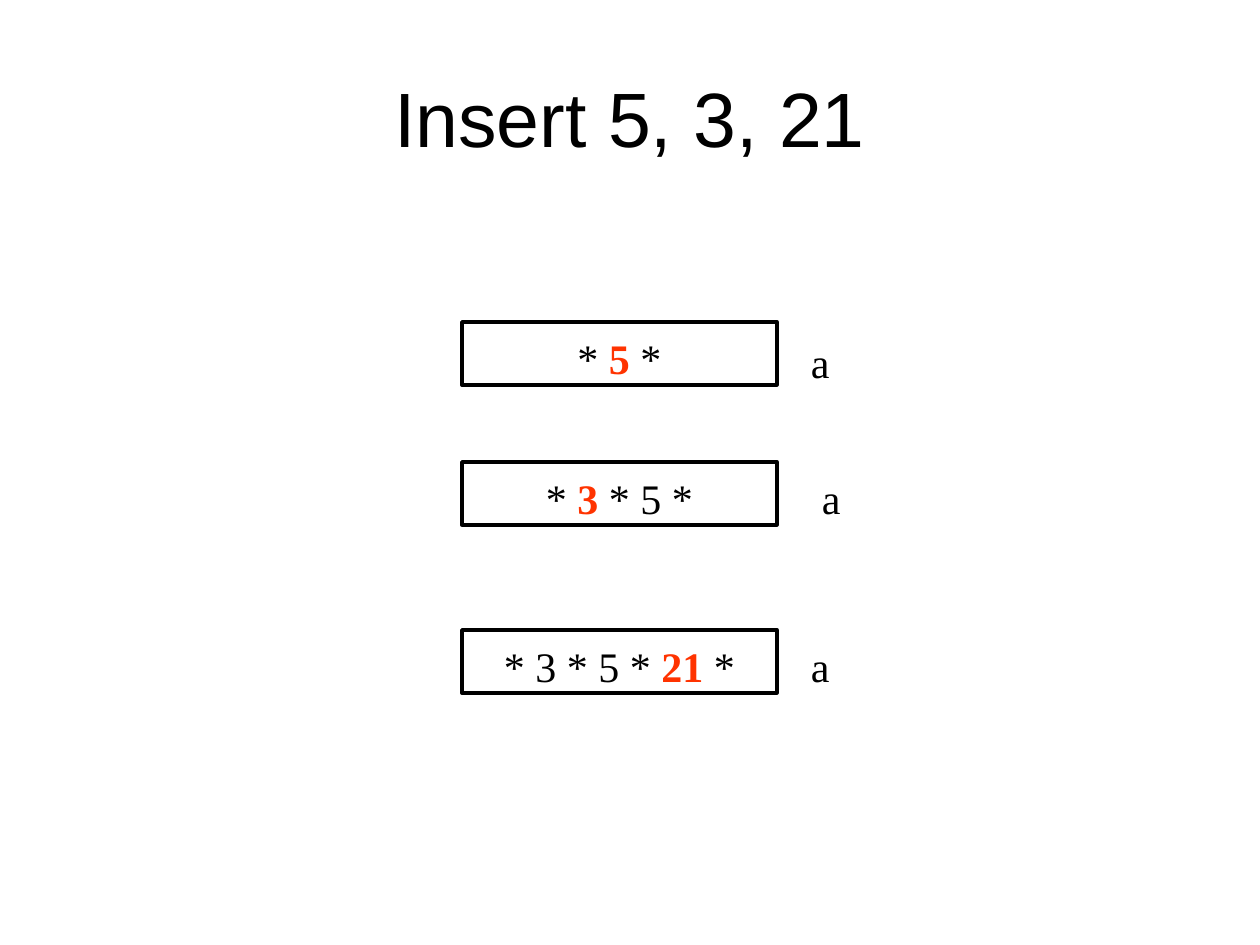
from pptx import Presentation
from pptx.dml.color import RGBColor
from pptx.enum.shapes import MSO_SHAPE
from pptx.enum.text import MSO_ANCHOR, PP_ALIGN
from pptx.util import Emu, Pt

RECTANGLE = MSO_SHAPE.RECTANGLE
TOP, MIDDLE = MSO_ANCHOR.TOP, MSO_ANCHOR.MIDDLE
LEFT, CENTER = PP_ALIGN.LEFT, PP_ALIGN.CENTER

COLORS = {"ink": "000000", "inserted": "FF3300"}
TITLE_FONT, BODY_FONT = "Arial", "Times New Roman"
NODE_LEFT, NODE_WIDTH, NODE_HEIGHT = 462, 315, 63

STEPS = [
    {"top": 322, "keys": ["5"], "inserted": "5", "label_at": (336, 3)},
    {"top": 462, "keys": ["3", "5"], "inserted": "3", "label_at": (347, 0)},
    {"top": 630, "keys": ["3", "5", "21"], "inserted": "21", "label_at": (336, 0)},
]


def px(length):
    return Emu(round(length * 914400 / 126))


def box(left, top, width, height):
    return px(left), px(top), px(width), px(height)


def color(name):
    return RGBColor.from_string(COLORS[name])


def format_paragraph(paragraph, font_name, size, alignment):
    paragraph.alignment = alignment
    paragraph.font.name = font_name
    paragraph.font.size = Pt(size)
    paragraph.font.color.rgb = color("ink")


def prepare_text(shape, alignment):
    frame = shape.text_frame
    frame.word_wrap = True
    frame.vertical_anchor = TOP
    frame.margin_left = frame.margin_right = px(13)
    frame.margin_top, frame.margin_bottom = px(11), px(2)
    paragraph = frame.paragraphs[0]
    format_paragraph(paragraph, BODY_FONT, 24, alignment)
    return paragraph


def add_title(slide, text, left, top, width, height):
    title = slide.shapes.title
    title.left, title.top, title.width, title.height = box(left, top, width, height)
    title.text_frame.text = text
    title.text_frame.vertical_anchor = MIDDLE
    format_paragraph(title.text_frame.paragraphs[0], TITLE_FONT, 44, CENTER)


def add_node(slide, keys, inserted, left, top, width, height):
    node = slide.shapes.add_shape(RECTANGLE, *box(left, top, width, height))
    node.shadow.inherit = False
    node.fill.background()
    node.line.color.rgb = color("ink")
    node.line.width = Pt(2)
    paragraph = prepare_text(node, CENTER)
    before, after = ("* " + " * ".join(keys) + " *").split(inserted)
    for text in (before, inserted, after):
        run = paragraph.add_run()
        run.text = text
        is_inserted = text == inserted
        run.font.bold = is_inserted
        run.font.color.rgb = color("inserted" if is_inserted else "ink")


def add_label(slide, text, left, top):
    label = slide.shapes.add_textbox(*box(left, top, 63, 63))
    prepare_text(label, LEFT).add_run().text = text


def add_step(slide, step, left, width, height):
    add_node(slide, step["keys"], step["inserted"], left, step["top"], width, height)
    label_left, label_top = step["label_at"]
    add_label(slide, "a", left + label_left, step["top"] + label_top)


def main():
    presentation = Presentation()
    presentation.slide_width, presentation.slide_height = px(1260), px(945)
    slide = presentation.slides.add_slide(presentation.slide_layouts[5])
    add_title(slide, "Insert 5, 3, 21", 63, 38, 1134, 158)
    for step in STEPS:
        add_step(slide, step, NODE_LEFT, NODE_WIDTH, NODE_HEIGHT)
    presentation.save("out.pptx")


if __name__ == "__main__":
    main()
